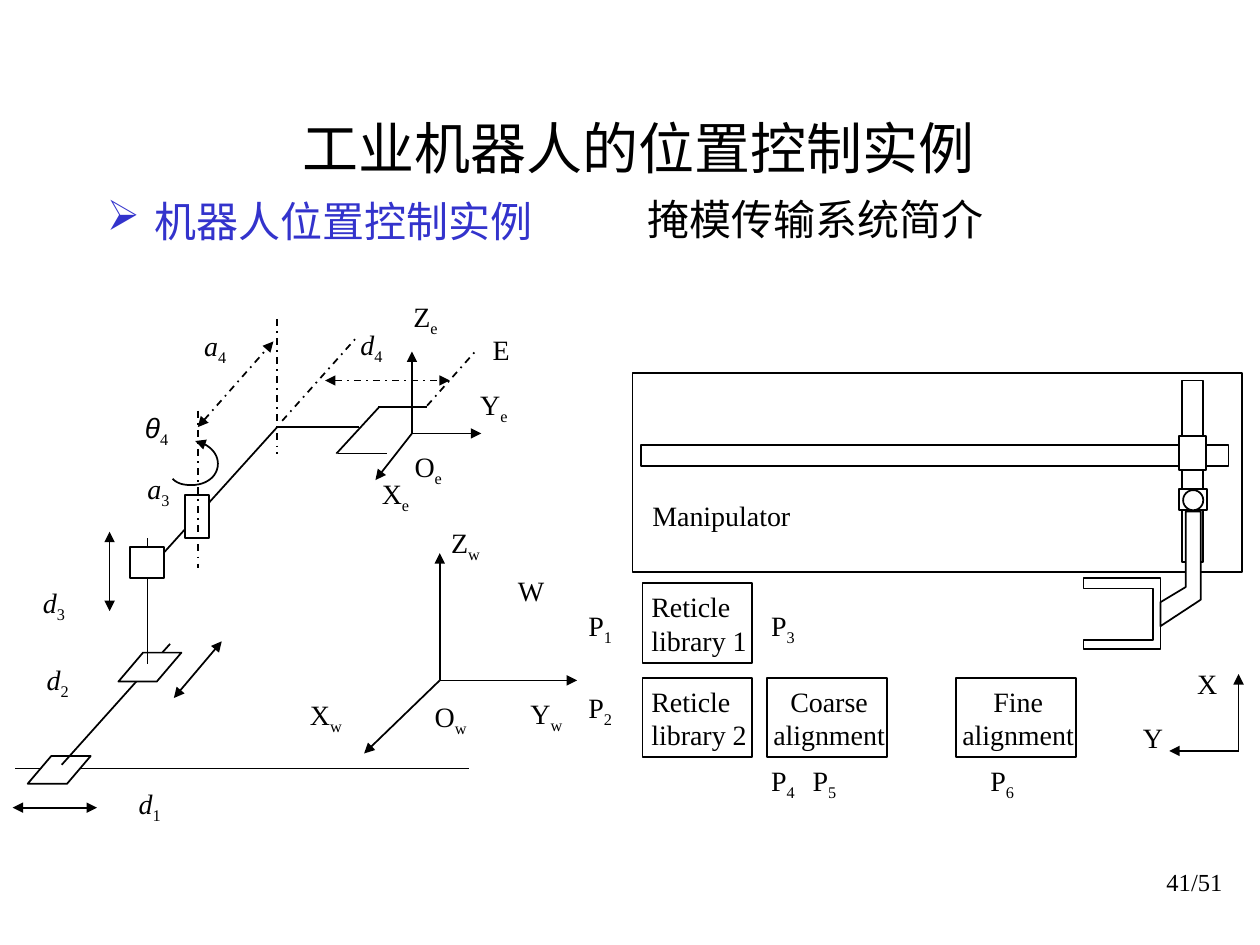
from dataclasses import dataclass

import pptx
import pptx.dml.color
import pptx.enum.dml
import pptx.enum.shapes
import pptx.enum.text
import pptx.oxml.ns
import pptx.util
from lxml import etree

COLUMNS, ROWS = 100, 75
ALIGN = pptx.enum.text.PP_ALIGN
ANCHOR = pptx.enum.text.MSO_ANCHOR
SHAPE = pptx.enum.shapes.MSO_SHAPE


@dataclass(frozen=True)
class Theme:
    ink: str = "000000"
    paper: str = "FFFFFF"
    accent: str = "3333CC"
    font: str = "Times New Roman"
    symbol_font: str = "Arial"
    title: int = 32
    heading: int = 24
    label: int = 16
    footer: int = 14
    stroke: int = 1


def rgb(code):
    return pptx.dml.color.RGBColor.from_string(code)


def add_element(parent, tag, **attributes):
    return etree.SubElement(parent, pptx.oxml.ns.qn(tag), attributes)


def write_text(paragraph, text, size, color, font, italic=False, subscript=False):
    run = paragraph.add_run()
    run.text = text
    run.font.size = pptx.util.Pt(size)
    run.font.name = font
    run.font.italic = italic
    run.font.color.rgb = rgb(color)
    if subscript:
        run._r.get_or_add_rPr().set("baseline", "-25000")


class Diagram:
    """Draws on one slide; every length is in grid columns and rows."""

    def __init__(self, deck, theme):
        self.theme = theme
        self.column = deck.slide_width / COLUMNS
        self.row = deck.slide_height / ROWS
        self.slide = deck.slides.add_slide(deck.slide_layouts[6])
        self.canvas = self.slide.shapes

    def start_group(self):
        self.canvas = self.slide.shapes.add_group_shape().shapes

    def end_group(self):
        self.canvas = self.slide.shapes

    def point(self, x, y):
        return round(x * self.column), round(y * self.row)

    def outline(self, item, dashed=False, head=False, tail=False):
        item.line.width = pptx.util.Pt(self.theme.stroke)
        item.line.color.rgb = rgb(self.theme.ink)
        if dashed:
            item.line.dash_style = pptx.enum.dml.MSO_LINE.DASH_DOT
        stroke = item.line._get_or_add_ln()
        for wanted, tag in ((head, "a:headEnd"), (tail, "a:tailEnd")):
            if wanted:
                add_element(stroke, tag, type="triangle")

    def paint(self, shape, filled):
        shape.shadow.inherit = False
        if filled:
            shape.fill.solid()
            shape.fill.fore_color.rgb = rgb(self.theme.paper)
        else:
            shape.fill.background()

    def shape(self, kind, x, y, width, height, slant=None):
        shape = self.canvas.add_shape(kind, *self.point(x, y), *self.point(width, height))
        if slant is not None:
            shape.adjustments[0] = slant
        self.paint(shape, True)
        self.outline(shape)

    def box(self, x, y, width, height):
        self.shape(SHAPE.RECTANGLE, x, y, width, height)

    def line(self, start, end, **style):
        line = self.canvas.add_connector(
            pptx.enum.shapes.MSO_CONNECTOR.STRAIGHT, *self.point(*start), *self.point(*end))
        add_element(line._element.spPr, "a:effectLst")
        self.outline(line, **style)

    def axes(self, origin, *tips):
        for tip in tips:
            self.line(origin, tip, tail=True)

    def freeform(self, points, closed=True, filled=False, **style):
        first, *rest = [self.point(*place) for place in points]
        builder = self.canvas.build_freeform(*first, scale=1.0)
        builder.add_line_segments(rest, close=closed)
        shape = builder.convert_to_shape()
        self.paint(shape, filled)
        self.outline(shape, **style)

    def text(self, text, x, y, width, height, size=None, color=None, font=None, italic=False,
             align=ALIGN.JUSTIFY, anchor=ANCHOR.TOP, inset=(0, 0), bullet=None):
        """Place text; the part after an underscore is set as a subscript."""
        theme = self.theme
        size, color = size or theme.label, color or theme.ink
        frame = self.canvas.add_textbox(*self.point(x, y), *self.point(width, height)).text_frame
        frame.word_wrap = True
        frame.vertical_anchor = anchor
        frame.margin_left, frame.margin_top = self.point(*inset)
        frame.margin_right, frame.margin_bottom = self.point(*inset)
        paragraph = frame.paragraphs[0]
        paragraph.alignment = align
        if bullet:
            indent = round(3.75 * self.column)
            properties = paragraph._p.get_or_add_pPr()
            properties.set("marL", str(indent))
            properties.set("indent", str(-indent))
            add_element(add_element(properties, "a:buClr"), "a:srgbClr", val=color)
            add_element(properties, "a:buChar", char=bullet)
        base, _, index = text.partition("_")
        write_text(paragraph, base, size, color, font or theme.font, italic)
        if index:
            write_text(paragraph, index, size, color, theme.font, subscript=True)


def bezier(start, control_1, control_2, end, steps=12):
    """Points along a cubic curve, without its start."""
    curve = []
    for step in range(1, steps + 1):
        t = step / steps
        weights = ((1 - t) ** 3, 3 * t * (1 - t) ** 2, 3 * t * t * (1 - t), t ** 3)
        curve.append(tuple(sum(w * p for w, p in zip(weights, axis))
                           for axis in zip(start, control_1, control_2, end)))
    return curve


def draw_headings(diagram):
    theme, inset = diagram.theme, (1, 0.5)
    diagram.text("工业机器人的位置控制实例", 8.2, 7.6, 85, 8.1, size=theme.title,
                 align=ALIGN.CENTER, anchor=ANCHOR.MIDDLE, inset=inset)
    diagram.text("机器人位置控制实例", 7.5, 15, 40, 5, size=theme.heading, color=theme.accent,
                 align=ALIGN.LEFT, inset=inset, bullet="➢")
    diagram.text("掩模传输系统简介", 50.4, 14.9, 32, 5, size=theme.heading,
                 align=ALIGN.LEFT, inset=inset)


def draw_transfer_system(diagram):
    diagram.start_group()
    rails_and_carriages = ((50.2, 29.6, 48.4, 15.8), (50.9, 35.3, 46.6, 1.7),
                           (93.8, 30.2, 1.7, 14.4), (93.6, 34.6, 2.1, 2.7),
                           (93.6, 38.8, 2.2, 1.7))
    for part in rails_and_carriages:
        diagram.box(*part)
    diagram.freeform([(94.1, 40.6), (94.1, 46.6), (92.1, 47.8), (92.1, 49.7),
                      (95.3, 47.6), (95.3, 40.6)], filled=True)
    diagram.shape(SHAPE.OVAL, 93.9, 38.9, 1.6, 1.6)
    diagram.freeform([(86, 45.9), (92.1, 45.9), (92.1, 51.5), (86, 51.5),
                      (86, 50.8), (91.5, 50.8), (91.5, 46.7), (86, 46.7)])
    stations = (("Reticle library 1", 51, 46.3, 8.7, 0.7, ALIGN.JUSTIFY),
                ("Reticle library 2", 51, 53.8, 8.7, 0.7, ALIGN.JUSTIFY),
                ("Coarse alignment", 60.9, 53.8, 9.5, 0.3, ALIGN.CENTER),
                ("Fine alignment", 75.9, 53.8, 9.5, 0.3, ALIGN.CENTER))
    for name, x, y, width, gap, align in stations:
        diagram.box(x, y, width, 6.3)
        diagram.text(name, x + gap, y + 0.5, width - gap, 5.8, align=align)
    diagram.text("Manipulator", 51, 39.6, 12.5, 4.5, align=ALIGN.CENTER)
    stops = ((46.7, 48.3), (46.7, 54.8), (61.2, 48.3), (61.2, 60.6), (64.5, 60.6), (78.6, 60.6))
    for number, (x, y) in enumerate(stops, 1):
        diagram.text(f"P_{number}", x, y, 4.7, 3.6)
    diagram.axes((98.3, 59.6), (98.3, 53.5), (92.8, 59.6))
    diagram.text("X", 95, 52.9, 3.2, 3.8)
    diagram.text("Y", 90.7, 57.2, 3.2, 3.7)
    diagram.end_group()


def draw_robot(diagram):
    diagram.start_group()
    diagram.line((1.2, 61), (37.2, 61))
    diagram.shape(SHAPE.PARALLELOGRAM, 2.2, 60, 5, 2.2, slant=0.85)
    diagram.axes((34.9, 54), (28.9, 59.8), (45.8, 54), (34.9, 43.9))
    diagram.line((4.9, 60.7), (13.5, 51.1))
    diagram.line((11.8, 45.2), (22, 33.9))
    diagram.box(14.7, 39.3, 1.9, 3.4)
    diagram.line((15.7, 32.6), (15.7, 45.1), dashed=True)
    gripper = (((22.1, 33.9), (28.5, 33.9)), ((30, 32.3), (33.9, 32.3)),
               ((26.8, 36), (30.7, 36)), ((26.7, 36), (30.1, 32.3)))
    for start, end in gripper:
        diagram.line(start, end)
    diagram.shape(SHAPE.PARALLELOGRAM, 9.4, 51.8, 5, 2.3, slant=0.85)
    diagram.line((11.7, 52.7), (11.7, 42.7))
    diagram.box(10.3, 43.4, 2.7, 2.5)
    travels = (((1, 64.1), (7.7, 64.1)), ((13.8, 55.4), (17.6, 50.9)), ((8.7, 48.5), (8.7, 42.2)))
    for start, end in travels:
        diagram.line(start, end, head=True, tail=True)
    top, right, bottom, end = (15.5, 35), (17.3, 36.8), (15.2, 38.5), (13.7, 38)
    diagram.freeform([top, *bezier(top, (16.5, 35.2), (17.3, 35.9), right),
                      *bezier(right, (17.3, 37.8), (16.4, 38.5), bottom),
                      *bezier(bottom, (14.6, 38.5), (14.1, 38.4), end)],
                     closed=False, head=True)
    diagram.axes((32.7, 34.4), (29.8, 38.1), (38.2, 34.4), (32.7, 27.9))
    guides = (((22, 25.3), (22, 36)), ((33.9, 32.2), (37.8, 27.8)), ((22.4, 33.4), (28.2, 26.9)))
    for start, end in guides:
        diagram.line(start, end, dashed=True)
    for start, end in (((15.7, 33.9), (21.7, 27.1)), ((25.8, 30.2), (35.7, 30.2))):
        diagram.line(start, end, dashed=True, head=True, tail=True)
    frames = (("X_w", 24.4, 55.3), ("Y_w", 41.9, 55.2), ("Z_w", 35.6, 41.6), ("O_w", 34.3, 55.4),
              ("X_e", 30.1, 37.7), ("Y_e", 37.9, 30.7), ("Z_e", 32.6, 23.7), ("O_e", 32.7, 35.6),
              ("W", 40.9, 45.4), ("E", 38.9, 26.3))
    joints = (("d_1", 10.8, 62.3), ("d_2", 3.5, 52.5), ("d_3", 3.2, 46.4), ("a_3", 11.5, 37.3),
              ("θ_4", 11.3, 32.5), ("a_4", 16, 26), ("d_4", 28.4, 25.9))
    for names, italic in ((frames, False), (joints, True)):
        for name, x, y in names:
            font = diagram.theme.symbol_font if name.startswith("θ") else None
            diagram.text(name, x, y, 4.5, 4.7, font=font, italic=italic, inset=(0.2, 0.1))
    diagram.end_group()


def main():
    deck = pptx.Presentation()
    deck.slide_width, deck.slide_height = pptx.util.Inches(10), pptx.util.Inches(7.5)
    diagram = Diagram(deck, Theme())
    draw_headings(diagram)
    draw_transfer_system(diagram)
    draw_robot(diagram)
    diagram.text("41/51", 77.2, 68.3, 20.8, 5, size=diagram.theme.footer,
                 align=ALIGN.RIGHT, inset=(1, 0.5))
    deck.save("out.pptx")


if __name__ == "__main__":
    main()
